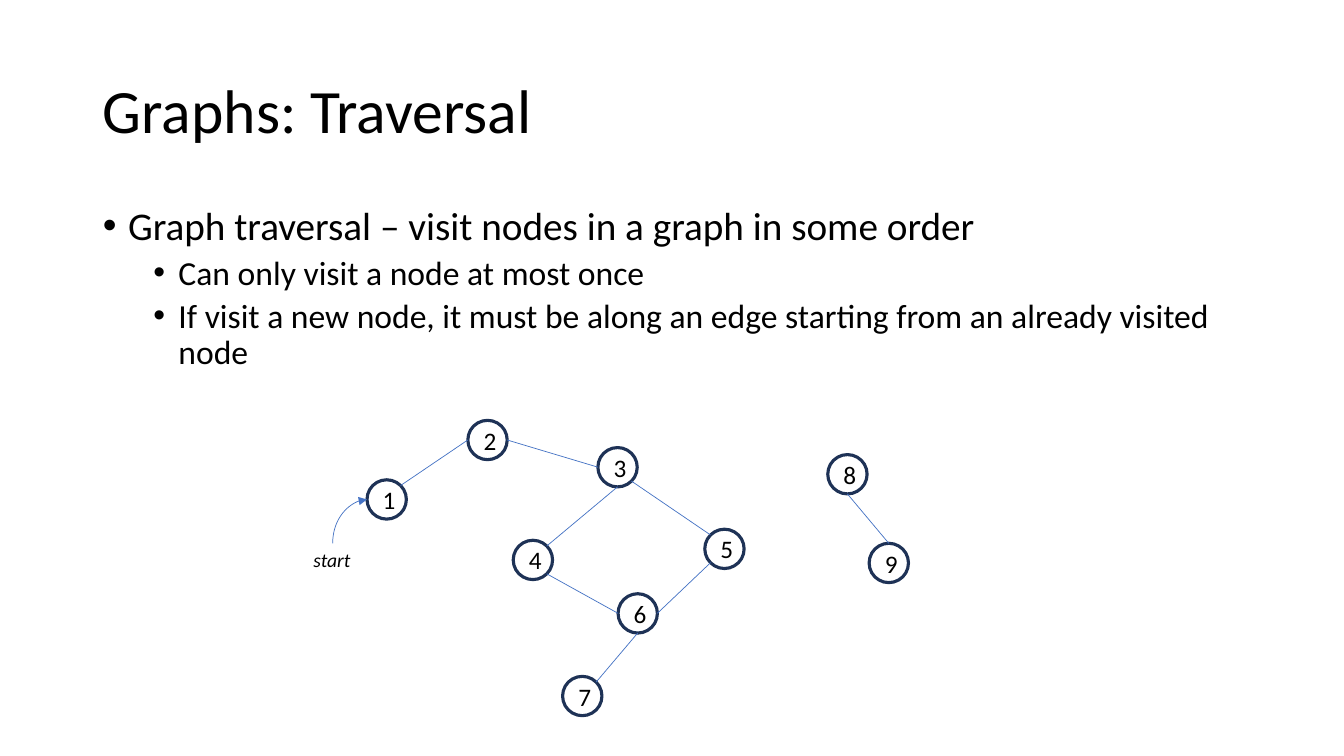
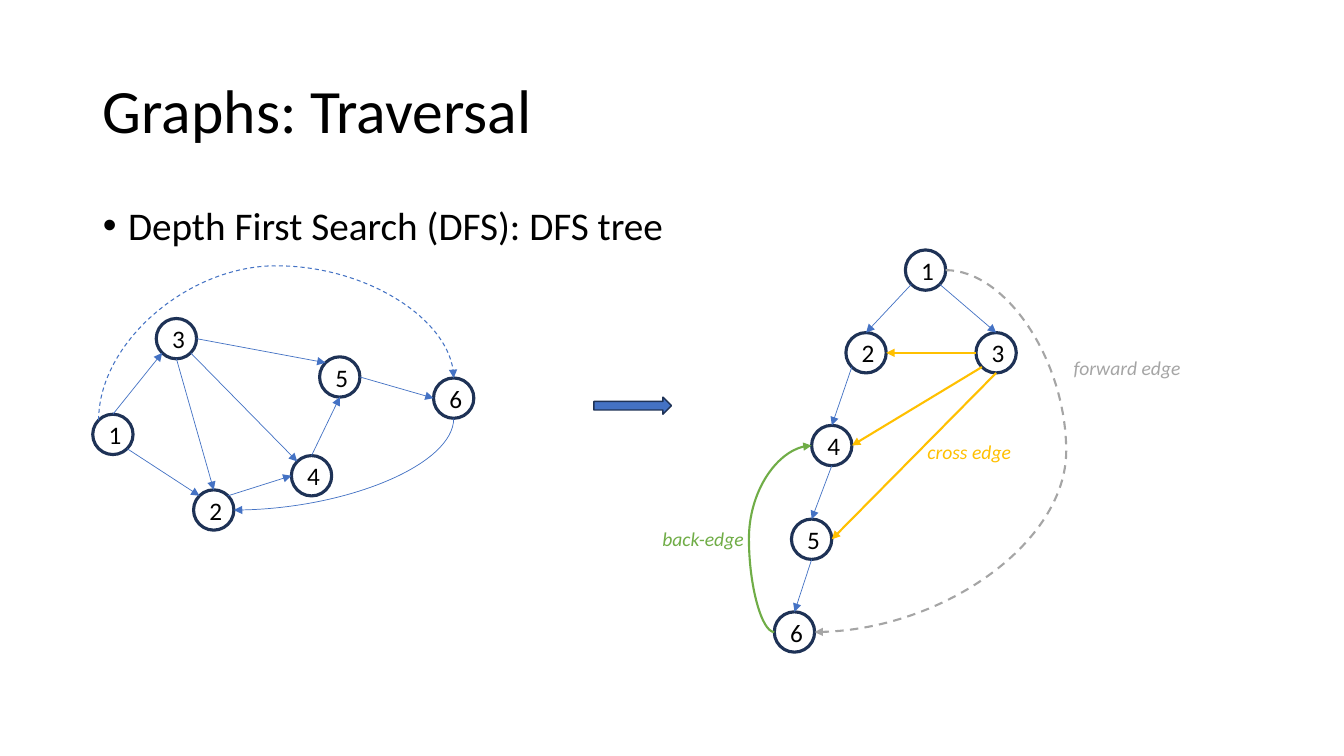
"""Build two slides on graph traversal: a traversal example and a DFS tree."""
import math

from lxml import etree
from pptx import Presentation
from pptx import util as u
from pptx.dml.color import RGBColor
from pptx.enum import dml, shapes, text
from pptx.oxml.ns import qn

FONT = "Calibri"
BLACK, NAVY, BLUE = "000000", "1E3256", "4472C4"
GREEN, ORANGE, GREY = "70AD47", "FFC000", "A5A5A5"

TITLE = "Graphs: Traversal"
TITLE_BOX = (0.92, 0.4, 11.5, 1.45)
TITLE_FORMAT = {"size": u.Pt(44)}
# size, space before and left margin of each bullet level
LEVELS = [(28, 10, 0.25), (24, 5, 0.75)]
HANGING = 0.25

# Connection sites of an ellipse, anticlockwise from the top
SITES = ["N", "NW", "W", "SW", "S", "SE", "E", "NE"]


def color(hex_string):
    """Turn a hex string into a colour."""
    return RGBColor.from_string(hex_string)


def set_values(target, values):
    """Set each named attribute on the target."""
    for name, value in values.items():
        setattr(target, name, value)


def place(shape, box):
    """Move and size a shape to left, top, width, height in inches."""
    names = ("left", "top", "width", "height")
    set_values(shape, dict(zip(names, map(u.Inches, box))))


def write(paragraph, words, font, font_color=BLACK):
    """Add one formatted run to a paragraph."""
    run = paragraph.add_run()
    run.text = words
    set_values(run.font, {"name": FONT, **font})
    run.font.color.rgb = color(font_color)


def add_bullet(paragraph, words, level):
    """Fill a body paragraph as a bullet of the given level."""
    size, space, margin = LEVELS[level]
    set_values(paragraph, {"level": level, "line_spacing": 0.9,
                           "space_before": u.Pt(space),
                           "alignment": text.PP_ALIGN.LEFT})
    properties = paragraph._p.get_or_add_pPr()
    properties.set("marL", str(u.Inches(margin)))
    properties.set("indent", str(-u.Inches(HANGING)))
    etree.SubElement(properties, qn("a:buFont")).set("typeface", "Arial")
    etree.SubElement(properties, qn("a:buChar")).set("char", "•")
    write(paragraph, words, {"size": u.Pt(size)})


def add_slide(presentation, bullets, body_height):
    """Add a slide with the shared title and (words, level) bullets."""
    slide = presentation.slides.add_slide(presentation.slide_layouts[1])
    title, body = slide.placeholders
    place(title, TITLE_BOX)
    set_values(title.text_frame, {"vertical_anchor": text.MSO_ANCHOR.MIDDLE,
                                  "auto_size": text.MSO_AUTO_SIZE.NONE})
    heading = title.text_frame.paragraphs[0]
    set_values(heading, {"alignment": text.PP_ALIGN.LEFT, "line_spacing": 0.9})
    write(heading, TITLE, TITLE_FORMAT)

    place(body, (0.92, 2, 11.5, body_height))
    frame = body.text_frame
    frame.auto_size = text.MSO_AUTO_SIZE.NONE
    for index, (words, level) in enumerate(bullets):
        paragraph = frame.add_paragraph() if index else frame.paragraphs[0]
        add_bullet(paragraph, words, level)
    return slide


def add_outlined(slide, kind, box, line_width, fill=None):
    """Add a preset shape with a navy outline."""
    shape = slide.shapes.add_shape(kind, *map(u.Inches, box))
    shape.shadow.inherit = False
    if fill:
        shape.fill.solid()
        shape.fill.fore_color.rgb = color(fill)
    else:
        shape.fill.background()
    shape.line.color.rgb = color(NAVY)
    shape.line.width = u.Pt(line_width)
    return shape


def add_nodes(slide, positions, size):
    """Add numbered circles and return them by number."""
    nodes = {}
    for number, (left, top) in positions.items():
        node = add_outlined(slide, shapes.MSO_SHAPE.OVAL,
                            (left, top, size, size), 2.25)
        paragraph = node.text_frame.paragraphs[0]
        paragraph.alignment = text.PP_ALIGN.CENTER
        write(paragraph, str(number), {"size": u.Pt(18)})
        nodes[number] = node
    return nodes


def add_label(slide, words, box, font_color=BLACK):
    """Add a small italic label."""
    label = slide.shapes.add_textbox(*map(u.Inches, box))
    set_values(label.text_frame, {
        "word_wrap": False, "auto_size": text.MSO_AUTO_SIZE.SHAPE_TO_FIT_TEXT})
    write(label.text_frame.paragraphs[0], words,
          {"size": u.Pt(14), "italic": True}, font_color)
    return label


def site_point(shape, site):
    """Return the x and y of a connection site."""
    angle = math.radians(90 + 45 * SITES.index(site))
    return (shape.left + shape.width / 2 * (1 + math.cos(angle)),
            shape.top + shape.height / 2 * (1 - math.sin(angle)))


def set_route(connector, begin, end, rotation):
    """Fit the connector's frame between two points, turned by rotation."""
    (x1, y1), (x2, y2) = begin, end
    angle = math.radians(rotation)
    across = (x2 - x1) * math.cos(angle) + (y2 - y1) * math.sin(angle)
    down = (y2 - y1) * math.cos(angle) - (x2 - x1) * math.sin(angle)
    width, height = round(abs(across)), round(abs(down))
    set_values(connector, {"left": round((x1 + x2 - width) / 2),
                           "top": round((y1 + y2 - height) / 2),
                           "width": width, "height": height})
    frame = connector.element.spPr.find(qn("a:xfrm"))
    for name, value in (("rot", rotation * 60000),
                        ("flipH", int(across < -1)), ("flipV", int(down < -1))):
        frame.set(name, str(value))


def add_edge(slide, start, start_site, stop, stop_site, line_color=BLUE,
             width=0.5, arrow=True, dashed=False, curve=None, rotation=0,
             bend=None):
    """Join two shapes with a glued line; curve names a curved preset."""
    kind = shapes.MSO_CONNECTOR.CURVE if curve else shapes.MSO_CONNECTOR.STRAIGHT
    connector = slide.shapes.add_connector(kind, 0, 0, 0, 0)
    set_route(connector, site_point(start, start_site),
              site_point(stop, stop_site), rotation)
    properties = connector.element.spPr
    if curve:
        geometry = properties.find(qn("a:prstGeom"))
        geometry.set("prst", curve)
        if bend is not None:
            guide = etree.SubElement(geometry.find(qn("a:avLst")), qn("a:gd"))
            guide.set("name", "adj1")
            guide.set("fmla", f"val {round(bend * 100000)}")

    glue = connector.element.find(".//" + qn("p:cNvCxnSpPr"))
    for tag, shape, site in (("a:stCxn", start, start_site),
                             ("a:endCxn", stop, stop_site)):
        joint = etree.SubElement(glue, qn(tag))
        joint.set("id", str(shape.shape_id))
        joint.set("idx", str(SITES.index(site)))

    connector.line.color.rgb = color(line_color)
    connector.line.width = u.Pt(width)
    if dashed:
        connector.line.dash_style = dml.MSO_LINE.DASH
    if arrow:
        outline = properties.find(qn("a:ln"))
        etree.SubElement(outline, qn("a:tailEnd")).set("type", "triangle")
    etree.SubElement(properties, qn("a:effectLst"))


def add_edges(slide, nodes, edges, **style):
    """Add straight edges given as (start, site, stop, site)."""
    for start, start_site, stop, stop_site in edges:
        add_edge(slide, nodes[start], start_site, nodes[stop], stop_site,
                 **style)


def build_traversal(presentation):
    """Build the slide that defines traversal."""
    slide = add_slide(presentation, [
        ("Graph traversal – visit nodes in a graph in some order", 0),
        ("Can only visit a node at most once", 1),
        ("If visit a new node, it must be along an edge starting from an "
         "already visited node", 1)], 1.93)
    nodes = add_nodes(slide, {
        1: (3.64, 4.76), 2: (4.64, 4.17), 3: (5.93, 4.44), 4: (5.09, 5.36),
        5: (6.99, 5.25), 6: (6.13, 5.89), 7: (5.58, 6.71), 8: (8.21, 4.51),
        9: (8.62, 5.39)}, 0.39)
    add_edges(slide, nodes, [
        (1, "NE", 2, "W"), (2, "E", 3, "W"), (3, "S", 4, "NE"),
        (3, "SE", 5, "NW"), (4, "SE", 6, "W"), (5, "SW", 6, "E"),
        (6, "S", 7, "NE"), (8, "S", 9, "N")], arrow=False)
    start = add_label(slide, "start", (3.01, 5.39, 0.58, 0.34))
    add_edge(slide, start, "N", nodes[1], "W",
             curve="curvedConnector2", rotation=90)


def build_dfs_tree(presentation):
    """Build the slide that turns a graph into its DFS tree."""
    slide = add_slide(presentation,
                      [("Depth First Search (DFS): DFS tree", 0)], 0.6)
    graph = add_nodes(slide, {
        1: (0.92, 4.11), 2: (1.92, 4.86), 3: (1.55, 3.16),
        5: (3.17, 3.54), 4: (2.89, 4.52), 6: (4.3, 3.75)}, 0.4)
    add_edges(slide, graph, [
        (1, "N", 3, "SW"), (1, "SE", 2, "NW"), (3, "S", 2, "N"),
        (3, "SE", 4, "NW"), (3, "E", 5, "NW"), (2, "NE", 4, "W"),
        (4, "N", 5, "S"), (5, "E", 6, "W")])
    add_edge(slide, graph[6], "S", graph[2], "E",
             curve="curvedConnector2", rotation=90)
    add_edge(slide, graph[1], "NW", graph[6], "N", width=0.75, dashed=True,
             curve="curvedConnector3", rotation=90, bend=3.66)

    add_outlined(slide, shapes.MSO_SHAPE.RIGHT_ARROW,
                 (5.89, 3.94, 0.77, 0.17), 1, BLUE)

    tree = add_nodes(slide, {
        1: (8.98, 2.48), 2: (8.39, 3.3), 4: (8.05, 4.22),
        5: (7.85, 5.15), 6: (7.68, 6.07), 3: (9.68, 3.3)}, 0.4)
    add_edges(slide, tree, [
        (1, "SW", 2, "N"), (2, "SW", 4, "N"), (4, "S", 5, "N"),
        (5, "S", 6, "N"), (1, "SE", 3, "N")])
    add_edges(slide, tree, [(3, "W", 2, "E"), (3, "SW", 4, "E"),
                            (3, "S", 5, "E")], line_color=ORANGE, width=1.5)
    add_edge(slide, tree[6], "W", tree[4], "W", GREEN, 1.5,
             curve="curvedConnector3", rotation=180, bend=-0.68)
    add_edge(slide, tree[1], "E", tree[6], "E", GREY, 1.5, dashed=True,
             curve="curvedConnector3", bend=-0.92)
    add_label(slide, "back-edge", (6.47, 5.18, 1.02, 0.34), GREEN)
    add_label(slide, "cross edge", (9.1, 4.32, 1.04, 0.34), ORANGE)
    add_label(slide, "forward edge", (10.55, 3.48, 1.27, 0.34), GREY)


def main():
    """Build and save the presentation."""
    presentation = Presentation()
    set_values(presentation, {"slide_width": u.Inches(13.33),
                              "slide_height": u.Inches(7.5)})
    build_traversal(presentation)
    build_dfs_tree(presentation)
    presentation.save("out.pptx")


main()
